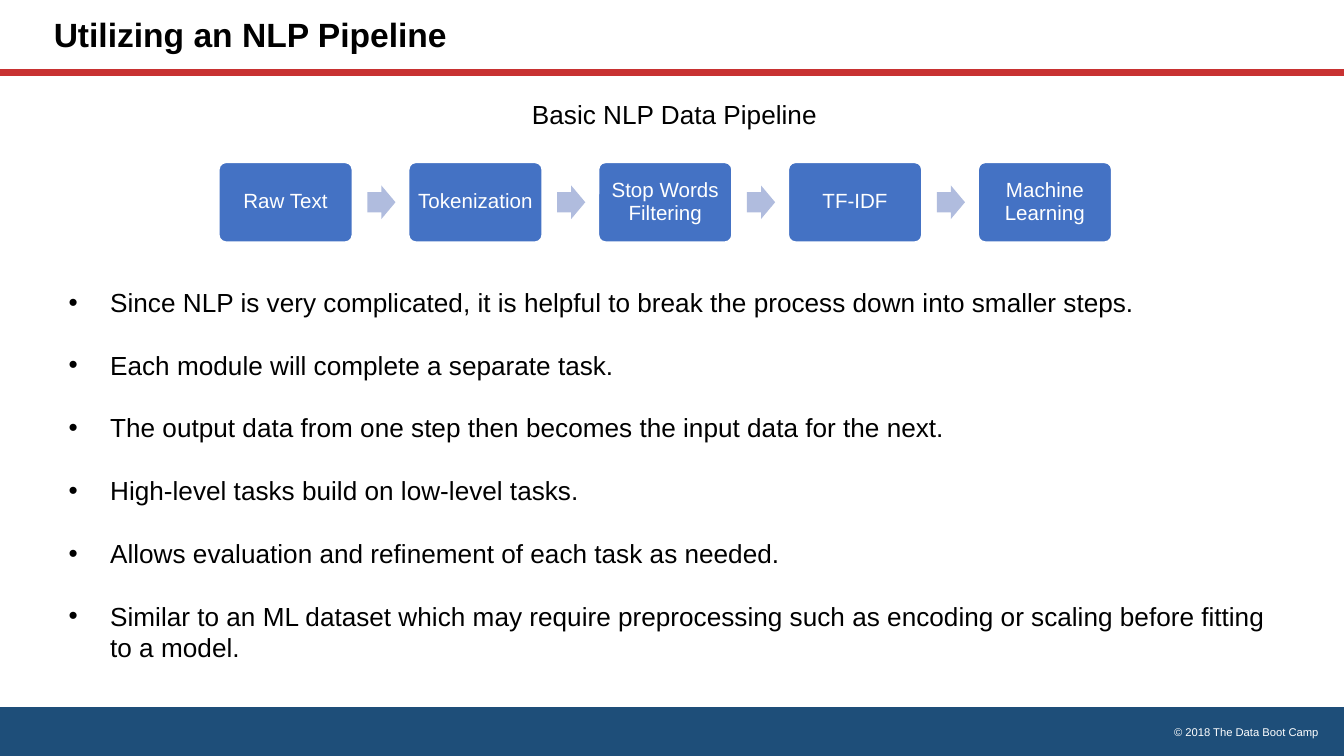
from dataclasses import dataclass

from lxml.etree import SubElement
from pptx import Presentation
from pptx.dml.color import RGBColor
from pptx.enum.shapes import MSO_CONNECTOR as Connector, MSO_SHAPE as Preset
from pptx.enum.text import MSO_ANCHOR as Anchor, MSO_AUTO_SIZE as AutoSize, PP_ALIGN as Align
from pptx.oxml.ns import qn
from pptx.util import Inches, Pt


@dataclass(frozen=True)
class Theme:
    """Colours, font and type sizes of the slide."""
    font: str = "Arial"
    black: str = "000000"
    white: str = "FFFFFF"
    footer: str = "1E4E79"
    rule: str = "C83232"
    step: str = "4472C4"
    arrow: str = "B0BCDE"
    title_size: float = 18
    body_size: float = 14
    step_size: float = 11
    footer_size: float = 6
    bullet_gap: float = 16.8


THEME = Theme()
WIDTH = 10
HEIGHT = WIDTH * 9 / 16
STEPS = ["Raw Text", "Tokenization", "Stop Words Filtering", "TF-IDF", "Machine Learning"]
BULLETS = [
    "Since NLP is very complicated, it is helpful to break the process down into smaller steps.",
    "Each module will complete a separate task.",
    "The output data from one step then becomes the input data for the next.",
    "High-level tasks build on low-level tasks.",
    "Allows evaluation and refinement of each task as needed.",
    "Similar to an ML dataset which may require preprocessing such as encoding or scaling "
    "before fitting to a model.",
]


def place(shape, left, top, width, height):
    """Move and size a shape, in inches."""
    shape.left, shape.top = Inches(left), Inches(top)
    shape.width, shape.height = Inches(width), Inches(height)


def set_frame(shape, anchor, horizontal=0.1, vertical=0.05, wrap=True):
    """Set the anchor, insets and wrapping of a text frame and return it."""
    frame = shape.text_frame
    frame.auto_size = AutoSize.NONE
    frame.word_wrap = wrap
    frame.vertical_anchor = anchor
    frame.margin_left = frame.margin_right = Inches(horizontal)
    frame.margin_top = frame.margin_bottom = Inches(vertical)
    return frame


def write(paragraph, text, size, color, align=Align.LEFT, bold=False, spacing=1.0):
    """Fill one paragraph and format it."""
    paragraph.text = text
    paragraph.alignment = align
    paragraph.line_spacing = spacing
    paragraph.space_before = Pt(0)
    font = paragraph.font
    font.name, font.size, font.bold = THEME.font, Pt(size), bold
    font.color.rgb = RGBColor.from_string(color)


def add_block(slide, preset, box, fill):
    """Add a flat filled preset shape without an outline."""
    shape = slide.shapes.add_shape(preset, *map(Inches, box))
    shape.shadow.inherit = False
    shape.fill.solid()
    shape.fill.fore_color.rgb = RGBColor.from_string(fill)
    shape.line.fill.background()
    return shape


def add_footer(slide, left, top, width, height):
    """Add the footer band with its copyright line."""
    add_block(slide, Preset.FLOWCHART_PROCESS, (left, top, width, height), THEME.footer)
    credit = slide.shapes.add_textbox(
        Inches(left + width - 3.17), Inches(top + 0.1), Inches(3.05), Inches(0.18))
    frame = set_frame(credit, Anchor.TOP, 0.07, 0.04)
    write(frame.paragraphs[0], "© 2018 The Data Boot Camp", THEME.footer_size,
          THEME.white, Align.RIGHT)


def add_header(slide, left, top, width, height):
    """Place the title above a full-width rule."""
    bottom = Inches(top + height)
    rule = slide.shapes.add_connector(
        Connector.STRAIGHT, Inches(left), bottom, Inches(left + width), bottom)
    rule.line.color.rgb = RGBColor.from_string(THEME.rule)
    rule.line.width = Pt(3.25)
    SubElement(rule._element.spPr, qn("a:effectLst"))
    title = slide.shapes.title
    place(title, left + 0.33, top, 5.98, height)
    frame = set_frame(title, Anchor.MIDDLE, 0.07, 0.07)
    write(frame.paragraphs[0], "Utilizing an NLP Pipeline", THEME.title_size,
          THEME.black, bold=True, spacing=0.9)


def add_caption(slide, left, top, width, height):
    """Add the caption of the pipeline."""
    caption = slide.shapes.add_textbox(*map(Inches, (left, top, width, height)))
    frame = set_frame(caption, Anchor.TOP, wrap=False)
    write(frame.paragraphs[0], "Basic NLP Data Pipeline", THEME.body_size, THEME.black)


def add_pipeline(slide, left, top, width, height):
    """Add the steps in equal columns, joined by block arrows."""
    step_width, arrow_width, arrow_height = 1.01, 0.21, 0.25
    pitch = (width - step_width) / (len(STEPS) - 1)
    for index, text in enumerate(STEPS):
        step_left = left + index * pitch
        if index:
            arrow = add_block(
                slide, Preset.RIGHT_ARROW,
                (step_left - 0.3, top + (height - arrow_height) / 2, arrow_width, arrow_height),
                THEME.arrow)
            arrow.adjustments[0] = 0.6
        step = add_block(slide, Preset.ROUNDED_RECTANGLE,
                         (step_left, top, step_width, height), THEME.step)
        step.adjustments[0] = 0.1
        step.line.color.rgb = RGBColor.from_string(THEME.white)
        step.line.width = Pt(2)
        frame = set_frame(step, Anchor.MIDDLE, 0.06, 0.06)
        write(frame.paragraphs[0], text, THEME.step_size, THEME.white, Align.CENTER, spacing=0.9)


def add_bullets(slide, left, top, width, height):
    """Fill the body placeholder with the bullet list."""
    body = slide.placeholders[1]
    place(body, left, top, width, height)
    frame = set_frame(body, Anchor.TOP)
    for index, text in enumerate(BULLETS):
        paragraph = frame.add_paragraph() if index else frame.paragraphs[0]
        properties = paragraph._p.get_or_add_pPr()
        properties.set("marL", str(Inches(0.31)))
        properties.set("indent", str(Inches(-0.31)))
        SubElement(properties, qn("a:buFont"), typeface=THEME.font)
        SubElement(properties, qn("a:buChar"), char="•")
        write(paragraph, text, THEME.body_size, THEME.black)
        if index < len(BULLETS) - 1:
            paragraph.space_after = Pt(THEME.bullet_gap)


def main():
    """Build the slide and save it."""
    presentation = Presentation()
    presentation.slide_width, presentation.slide_height = Inches(WIDTH), Inches(HEIGHT)
    slide = presentation.slides.add_slide(presentation.slide_layouts[1])
    add_footer(slide, 0, 5.26, WIDTH, HEIGHT - 5.26)
    add_header(slide, 0, 0, WIDTH, 0.54)
    add_bullets(slide, 0.41, 2.08, 9.25, 2.93)
    add_pipeline(slide, 1.62, 1.2, 6.66, 0.61)
    add_caption(slide, 3.86, 0.68, 2.34, 0.34)
    presentation.save("out.pptx")


if __name__ == "__main__":
    main()
